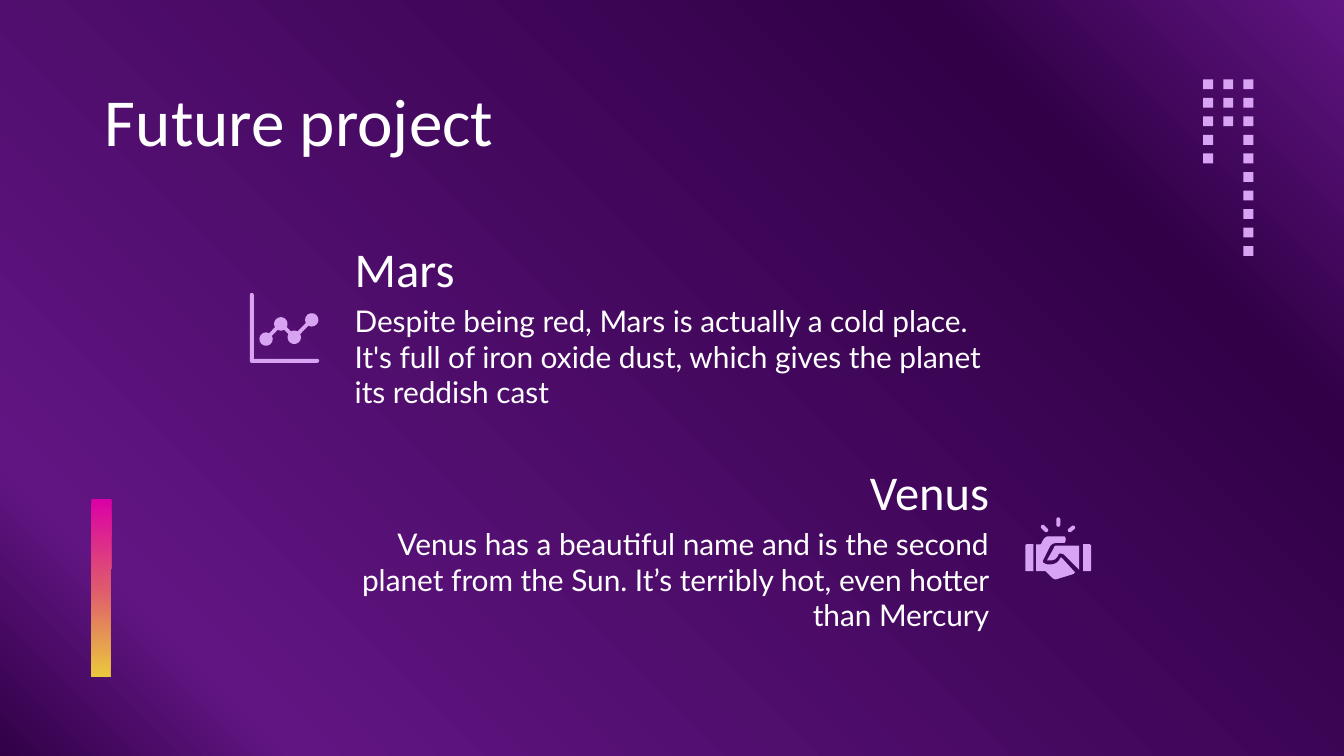
from copy import deepcopy
from dataclasses import dataclass
from math import asin, atan2, cos, pi, sin

from pptx import Presentation
from pptx.dml.color import RGBColor
from pptx.enum.shapes import MSO_SHAPE as Preset
from pptx.enum.text import MSO_ANCHOR as Anchor, MSO_AUTO_SIZE as AutoSize, PP_ALIGN as Align
from pptx.oxml.ns import qn
from pptx.util import Pt


@dataclass(frozen=True)
class Theme:
    white: str = "FFFFFF"
    lilac: str = "D9A3F3"
    backdrop: tuple = ((0, "310047"), (0.14, "611582"), (0.8, "310047"), (1, "611582"))
    accent: tuple = ((0, "DB00A6"), (0.5, "DF596E"), (1, "EAC93D"))
    head_font: str = "Calibri"
    body_font: str = "Lato"
    title_size: int = 36
    head_size: int = 26
    body_size: int = 16


theme = Theme()
UNIT = 0.72  # outlines are drawn on a grid of 0.72 pt
margin = Pt(7.2)

deck = Presentation()
deck.slide_width, deck.slide_height = Pt(720), Pt(405)
page = deck.slides.add_slide(deck.slide_layouts[5])


def add_outline(shapes, steps):
    """Draw a closed outline; a step is a point, or the six numbers of a cubic curve."""
    points = []
    for step in steps:
        if len(step) == 2:
            points.append(step)
            continue
        start, first, second, end = points[-1], step[:2], step[2:4], step[4:]
        for t in (0.25, 0.5, 0.75, 1):
            points.append(tuple(
                a * (1 - t) ** 3 + 3 * b * t * (1 - t) ** 2 + 3 * c * t * t * (1 - t) + d * t ** 3
                for a, b, c, d in zip(start, first, second, end)))
    grid = [(Pt(x * UNIT), Pt(y * UNIT)) for x, y in points]
    builder = shapes.build_freeform(*grid[0])
    builder.add_line_segments(grid[1:], close=True)
    shape = builder.convert_to_shape()
    shape.shadow.inherit = False
    shape.line.fill.background()
    shape.fill.solid()
    shape.fill.fore_color.rgb = RGBColor.from_string(theme.lilac)
    return shape


def beaded_line(nodes, radius, half_width):
    """Return the outline of a line with a round bead on every node."""
    walk = nodes + nodes[-2:0:-1]
    gap = asin(half_width / radius)
    points = []
    for index, (x, y) in enumerate(walk):
        before, after = walk[index - 1], walk[(index + 1) % len(walk)]
        start = atan2(before[1] - y, before[0] - x)
        end = atan2(after[1] - y, after[0] - x)
        sweep = ((end - start) % (2 * pi) or 2 * pi) - 2 * gap
        for part in range(13):
            angle = start + gap + sweep * part / 12
            points.append((x + radius * cos(angle), y + radius * sin(angle)))
    return points


# Accent bar and background gradients
bar = add_outline(page.shapes, [(68, 504), (68, 371), (83, 371), (82, 504)])
for owner, fill, stops, angle in (
    (page, page.background.fill, theme.backdrop, 45),
    (bar, bar.fill, theme.accent, 270),
):
    fill.gradient()
    fill.gradient_angle = angle
    stop_list = next(owner.element.iter(qn("a:gsLst")))
    while len(stop_list) < len(stops):
        stop_list.append(deepcopy(stop_list[0]))
    for stop, (position, color) in zip(fill.gradient_stops, stops):
        stop.position = position
        stop.color.rgb = RGBColor.from_string(color)

# Title and the two planet texts
title = page.shapes.title
title.left, title.top, title.width, title.height = Pt(49), Pt(35.3), Pt(622), Pt(45.4)
texts = [(title, "Future project", theme.head_font, theme.title_size, Anchor.TOP, Align.LEFT)]
for top, align, planet, description in (
    (129.6, Align.LEFT, "Mars",
     "Despite being red, Mars is actually a cold place. It's full of iron oxide dust, "
     "which gives the planet its reddish cast"),
    (249.1, Align.RIGHT, "Venus",
     "Venus has a beautiful name and is the second planet from the Sun. "
     "It’s terribly hot, even hotter than Mercury"),
):
    heading = page.shapes.add_textbox(Pt(182.9), Pt(top), Pt(354.2), Pt(28))
    body = page.shapes.add_textbox(Pt(182.9), Pt(top + 25.2), Pt(354.2), Pt(63.4))
    texts += [
        (heading, planet, theme.head_font, theme.head_size, Anchor.MIDDLE, align),
        (body, description, theme.body_font, theme.body_size, Anchor.TOP, align),
    ]

for box, words, font, size, anchor, align in texts:
    frame = box.text_frame
    frame.text = words
    frame.word_wrap = True
    frame.auto_size = AutoSize.NONE
    frame.vertical_anchor = anchor
    frame.margin_left = frame.margin_right = frame.margin_top = frame.margin_bottom = margin
    para = frame.paragraphs[0]
    para.alignment = align
    span = para.runs[0]
    span.font.name = font
    span.font.size = Pt(size)
    span.font.color.rgb = RGBColor.from_string(theme.white)

# Line chart icon
axes = [
    (187.5, 218), (186, 218, 186, 219, 186, 220), (186, 268), (186, 269, 186, 270, 187.5, 270),
    (236, 270), (237, 270, 237.5, 269, 237.5, 268.5), (237.5, 267.5, 237, 267, 236, 267),
    (189, 267), (189, 220), (189, 219, 188.5, 218, 187.5, 218),
]
trend = beaded_line([(198, 252.3), (209, 241), (219, 251), (232, 238)], 5, 1.4)

# Handshake icon
rays = [
    beaded_line(ends, 1.5, 1.5) for ends in (
        [(787.5, 386.5), (787.5, 390.5)],
        [(776, 392), (778.5, 394.5)],
        [(798.5, 392.5), (796, 394.5)],
    )
]
right_cuff = [(806, 405), (806, 425), (811, 425), (812, 425, 812, 424, 812, 424),
              (812, 406), (812, 406, 811, 405, 811, 405)]
left_cuff = [(764, 405), (763, 405, 763, 406, 763, 406), (763, 424),
             (763, 425, 763, 425, 764, 425), (769, 425), (769, 405)]
right_hand = [
    (786, 406), (785, 406, 784, 407, 784, 408), (779, 417), (780, 417, 781, 417, 782, 417),
    (784, 417, 786, 416, 787, 414), (788, 412), (790, 412), (791, 412, 792, 413, 792, 413),
    (803, 424), (803, 406),
]
left_hand = [
    (780, 399), (779, 399, 777, 400, 776, 402), (775, 404), (775, 405, 774, 405, 774, 405),
    (771, 405), (771, 425), (778, 425), (782, 429), (783, 430, 784, 431, 785, 431),
    (785, 431, 786, 431, 786, 431), (799, 427), (799, 426, 800, 426, 800, 426),
    (790, 415), (789, 415), (788, 418, 785, 420, 782, 420), (780, 420, 778, 420, 777, 419),
    (776, 419, 776, 418, 776, 417), (781, 407), (782, 405, 784, 404, 786, 404), (792, 404),
    (793, 403, 793, 402, 793, 401), (793, 400, 792, 399, 792, 399),
]

for icon in ([axes, trend], [*rays, right_cuff, left_cuff, right_hand, left_hand]):
    group = page.shapes.add_group_shape()
    for steps in icon:
        add_outline(group.shapes, steps)

# Columns of square dots
dots = page.shapes.add_group_shape()
for column, count in enumerate((5, 3, 10)):
    for row in range(count):
        dot = dots.shapes.add_shape(
            Preset.RECTANGLE, Pt(644.6 + 10.75 * column), Pt(42.5 + 9.93 * row), Pt(5.3), Pt(5.3))
        dot.shadow.inherit = False
        dot.fill.solid()
        dot.fill.fore_color.rgb = RGBColor.from_string(theme.lilac)
        dot.line.fill.background()

deck.save("out.pptx")
